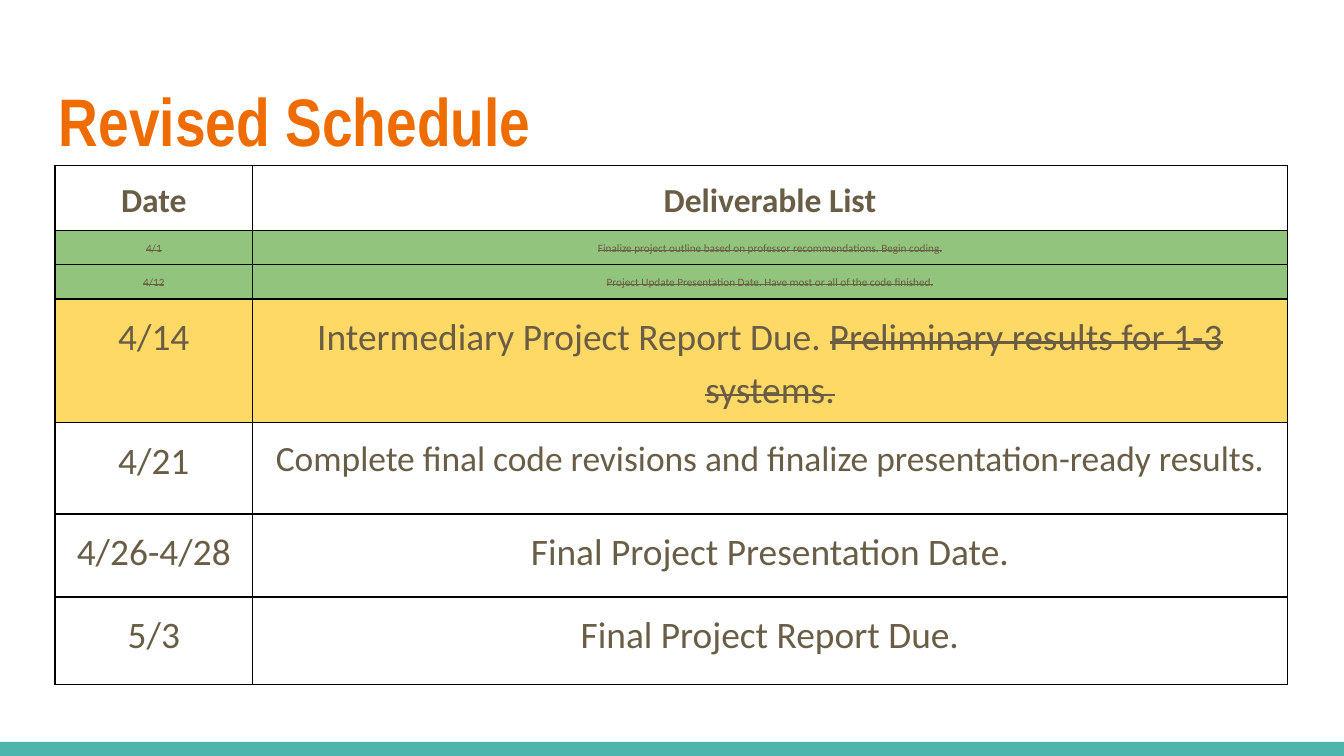
from lxml import etree
from pptx import Presentation
from pptx.dml.color import RGBColor
from pptx.enum.shapes import MSO_SHAPE
from pptx.enum.text import MSO_ANCHOR, PP_ALIGN
from pptx.oxml.ns import qn
from pptx.util import Inches, Pt

TEAL = RGBColor(0x4D, 0xB6, 0xAC)
ORANGE = RGBColor(0xEF, 0x6C, 0x00)
BROWN = RGBColor(0x69, 0x5D, 0x46)
GREEN = RGBColor(0x93, 0xC4, 0x7D)
YELLOW = RGBColor(0xFF, 0xD9, 0x66)
BLACK = RGBColor(0, 0, 0)


def add_text(p, text, size=20, font="Calibri", color=BROWN, bold=False, strike=False):
    r = p.add_run()
    r.text = text
    r.font.size = Pt(size)
    r.font.name = font
    r.font.bold = bold
    r.font.color.rgb = color
    if strike:
        r._r.get_or_add_rPr().set("strike", "sngStrike")


def add_borders(cell):
    tc_pr = cell._tc.get_or_add_tcPr()
    for side in ("lnL", "lnR", "lnT", "lnB"):
        ln = etree.SubElement(tc_pr, qn(f"a:{side}"), w=str(Pt(1)))
        fill = etree.SubElement(ln, qn("a:solidFill"))
        etree.SubElement(fill, qn("a:srgbClr"), val=str(BLACK))


# 16:9 slide
prs = Presentation()
prs.slide_width = Inches(10)
prs.slide_height = Inches(10 * 9 / 16)
s = prs.slides.add_slide(prs.slide_layouts[6])

# Bottom band
sp = s.shapes.add_shape(MSO_SHAPE.RECTANGLE, Inches(0), Inches(5.52), Inches(10), Inches(0.11))
sp.shadow.inherit = False
sp.fill.solid()
sp.fill.fore_color.rgb = TEAL
sp.line.fill.background()

# Title
tf = s.shapes.add_textbox(Inches(0.34), Inches(0.49), Inches(9.32), Inches(0.77)).text_frame
tf.word_wrap = True
tf.vertical_anchor = MSO_ANCHOR.BOTTOM
tf.margin_left = tf.margin_right = tf.margin_top = Inches(0.1)
tf.margin_bottom = Inches(0.07)
add_text(tf.paragraphs[0], "Revised Schedule", size=36, font="Arial Narrow", color=ORANGE, bold=True)

# Schedule rows: height, fill, then the runs of each cell with their format
header = dict(size=18, bold=True)
done = dict(size=6, strike=True)
rows = [
    (0.47, None, [("Date", header)], [("Deliverable List", header)]),
    (0.25, GREEN, [("4/1", done)],
     [("Finalize project outline based on professor recommendations. Begin coding.", done)]),
    (0.25, GREEN, [("4/12", done)],
     [("Project Update Presentation Date. Have most or all of the code finished.", done)]),
    (0.92, YELLOW, [("4/14", {})],
     [("Intermediary Project Report Due. ", {}),
      ("Preliminary results for 1-3 systems.", dict(strike=True))]),
    (0.68, None, [("4/21", {})],
     [("Complete final code revisions and finalize presentation-ready results.", dict(size=19))]),
    (0.62, None, [("4/26-4/28", {})], [("Final Project Presentation Date.", {})]),
    (0.65, None, [("5/3", {})], [("Final Project Report Due.", {})]),
]

# Schedule table
table = s.shapes.add_table(len(rows), 2, Inches(0.41), Inches(1.23), Inches(9.17), Inches(3.84)).table
table.first_row = table.horz_banding = False
for col, width in zip(table.columns, (1.47, 7.7)):
    col.width = Inches(width)

for i, (height, fill, *cells) in enumerate(rows):
    table.rows[i].height = Inches(height)
    for j, runs in enumerate(cells):
        cell = table.cell(i, j)
        cell.margin_left = cell.margin_right = Inches(0.07)
        cell.margin_top = cell.margin_bottom = Inches(0.07)
        add_borders(cell)
        if fill is None:
            cell.fill.background()
        else:
            cell.fill.solid()
            cell.fill.fore_color.rgb = fill
        p = cell.text_frame.paragraphs[0]
        p.alignment = PP_ALIGN.CENTER
        p.line_spacing = 1.15
        for text, style in runs:
            add_text(p, text, **style)

prs.save("out.pptx")
